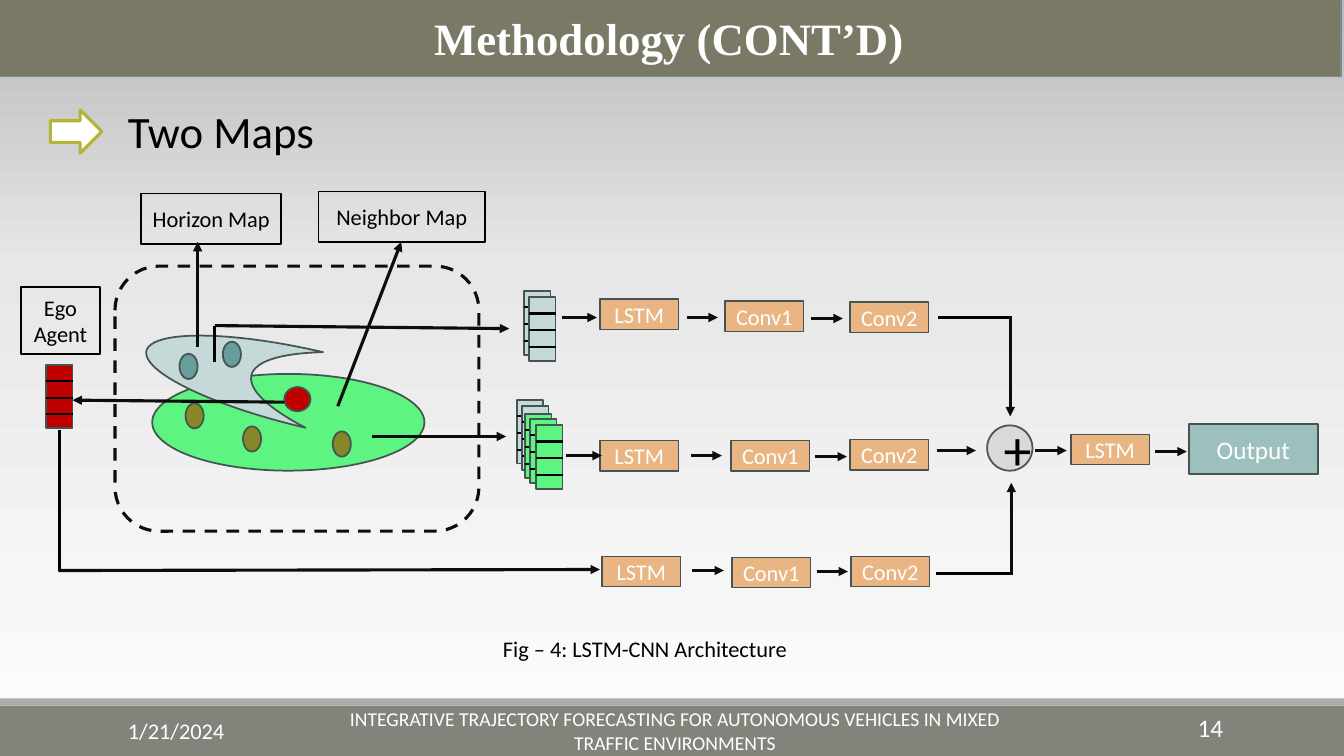
from copy import deepcopy
from dataclasses import dataclass

from lxml.etree import SubElement
from pptx import Presentation
from pptx.dml.color import RGBColor
from pptx.enum.dml import MSO_LINE
from pptx.enum.shapes import MSO_CONNECTOR, MSO_SHAPE
from pptx.enum.text import MSO_ANCHOR, PP_ALIGN
from pptx.oxml.ns import qn
from pptx.util import Inches, Pt

BLACK, WHITE, ARROW = "000000", "FFFFFF", "0D0D0D"
OUTLINE, ORANGE, TEAL = "455453", "E9B683", "9DBFBE"
PALE, GREEN, RED = "C4D9D8", "5EF482", "C00000"
DARK_TEAL, OLIVE = "689D9B", "868728"


@dataclass
class Block:
    label: str
    left: float
    top: float
    width: float = 0.78
    height: float = 0.3
    fill: str | None = ORANGE
    line: str = OUTLINE
    color: str = WHITE
    size: float = 16
    preset: MSO_SHAPE = MSO_SHAPE.RECTANGLE


@dataclass
class Stack:
    left: float
    top: float
    fill: str


@dataclass
class Link:
    start: tuple[float, float]
    end: tuple[float, float]
    arrow: bool = True


presentation = Presentation()
presentation.slide_width = Inches(13.33)
presentation.slide_height = Inches(7.5)
slide = presentation.slides.add_slide(presentation.slide_layouts[6])


def rgb(color: str) -> RGBColor:
    return RGBColor.from_string(color)


def write(shape, text: str, *, size: float = 16, color: str = BLACK, font: str = "Calibri",
          bold: bool = False, align=PP_ALIGN.CENTER, anchor=MSO_ANCHOR.MIDDLE) -> None:
    frame = shape.text_frame
    frame.word_wrap = True
    frame.vertical_anchor = anchor
    paragraph = frame.paragraphs[0]
    paragraph.text = text
    paragraph.alignment = align
    paragraph.font.name, paragraph.font.size, paragraph.font.bold = font, Pt(size), bold
    paragraph.font.color.rgb = rgb(color)


def add_text(text: str, left: float, top: float, width: float, height: float, **style) -> None:
    box = slide.shapes.add_textbox(Inches(left), Inches(top), Inches(width), Inches(height))
    write(box, text, **style)


def add_preset(preset: MSO_SHAPE, left: float, top: float, width: float, height: float,
               fill: str | None = None, line: str | None = OUTLINE, weight: float = 1.25):
    shape = slide.shapes.add_shape(preset, Inches(left), Inches(top), Inches(width), Inches(height))
    shape.shadow.inherit = False
    if fill:
        shape.fill.solid()
        shape.fill.fore_color.rgb = rgb(fill)
    else:
        shape.fill.background()
    if line:
        shape.line.color.rgb = rgb(line)
        shape.line.width = Pt(weight)
    else:
        shape.line.fill.background()
    return shape


def add_link(link: Link, weight: float = 2.25) -> None:
    points = [Inches(value) for value in (*link.start, *link.end)]
    connector = slide.shapes.add_connector(MSO_CONNECTOR.STRAIGHT, *points)
    connector.line.color.rgb = rgb(ARROW if link.arrow else BLACK)
    connector.line.width = Pt(weight)
    if link.arrow:
        SubElement(connector.line._get_or_add_ln(), qn("a:tailEnd"), type="triangle")
    SubElement(connector._element.spPr, qn("a:effectLst"))


def add_block(block: Block) -> None:
    shape = add_preset(block.preset, block.left, block.top, block.width, block.height,
                       block.fill, block.line)
    write(shape, block.label, size=block.size, color=block.color)


def add_stack(stack: Stack) -> None:
    width = 0.26
    add_preset(MSO_SHAPE.RECTANGLE, stack.left, stack.top, width, 0.63, stack.fill)
    for row in range(3):
        y = stack.top + 0.16 + 0.165 * row
        add_link(Link((stack.left, y), (stack.left + width, y), arrow=False), weight=1.5)


# Background gradient, light at the bottom
background = slide.background.fill
background.gradient()
background.gradient_angle = 90
stop_list = slide.element.find(".//" + qn("a:gsLst"))
stop_list.insert(1, deepcopy(stop_list[0]))
gradient = [(0, "FEFEFE"), (0.65, "E7E7E7"), (1, "B9B9B9")]
for stop, (position, color) in zip(background.gradient_stops, gradient):
    stop.position = position
    stop.color.rgb = rgb(color)

# Footer and title
add_preset(MSO_SHAPE.RECTANGLE, 0, 7, 13.33, 0.5, "82847C", None)
add_preset(MSO_SHAPE.RECTANGLE, 0, 6.93, 13.33, 0.07, "ACADA8", None)
title = add_preset(MSO_SHAPE.RECTANGLE, -0.03, -0.01, 13.33, 0.77, "797965", "748D8D")
write(title, "Methodology (CONT’D)", size=32, color=WHITE, font="Times New Roman", bold=True)
add_text("1/21/2024", 1.17, 7.05, 2.7, 0.4, color=WHITE, align=PP_ALIGN.LEFT)
add_text("INTEGRATIVE TRAJECTORY FORECASTING FOR AUTONOMOUS VEHICLES IN MIXED TRAFFIC ENVIRONMENTS",
         3.35, 7.05, 6.69, 0.4, size=14, color=WHITE)
add_text("14", 10.8, 7.02, 1.43, 0.4, size=18, color=WHITE, align=PP_ALIGN.RIGHT)

# Heading and caption
add_preset(MSO_SHAPE.RIGHT_ARROW, 0.5, 1.09, 0.51, 0.43, WHITE, "B3B435", 2.25)
add_text("Two Maps", 1.17, 0.98, 5.32, 0.64, size=32, align=PP_ALIGN.LEFT, anchor=MSO_ANCHOR.TOP)
add_text("Fig – 4: LSTM-CNN Architecture", 4.89, 6.25, 4.58, 0.37,
         align=PP_ALIGN.LEFT, anchor=MSO_ANCHOR.TOP)

# Scene with the two maps and the agents
scene = add_preset(MSO_SHAPE.ROUNDED_RECTANGLE, 1.14, 2.64, 3.61, 2.63, None, ARROW, 2.25)
scene.line.dash_style = MSO_LINE.DASH
add_preset(MSO_SHAPE.OVAL, 1.51, 3.71, 2.7, 0.96, GREEN)
horizon = add_preset(MSO_SHAPE.MOON, 1.43, 3.29, 1.71, 0.77, PALE)
horizon.rotation = 13.1
horizon.adjustments[0] = 0.625
add_preset(MSO_SHAPE.OVAL, 2.82, 3.84, 0.26, 0.24, RED)
agents = [(2.21, 3.39, DARK_TEAL), (1.78, 3.51, DARK_TEAL),
          (2.41, 4.23, OLIVE), (1.84, 4, OLIVE), (3.3, 4.28, OLIVE)]
for left, top, fill in agents:
    add_preset(MSO_SHAPE.OVAL, left, top, 0.18, 0.25, fill)

# Feature stacks
stacks = [
    Stack(5.2, 2.89, PALE), Stack(5.25, 2.95, PALE),
    Stack(5.13, 3.97, PALE), Stack(5.18, 4.03, PALE),
    Stack(5.21, 4.11, GREEN), Stack(5.26, 4.16, GREEN), Stack(5.32, 4.22, GREEN),
    Stack(0.46, 3.62, RED),
]
for stack in stacks:
    add_stack(stack)

# Network blocks and map labels
label_style = dict(fill=None, line=BLACK, color=BLACK)
blocks = [
    Block("LSTM", 5.95, 2.97), Block("Conv1", 7.19, 2.99), Block("Conv2", 8.43, 3),
    Block("LSTM", 5.95, 4.37), Block("Conv1", 7.25, 4.37), Block("Conv2", 8.43, 4.36),
    Block("LSTM", 5.97, 5.52), Block("Conv1", 7.26, 5.53), Block("Conv2", 8.44, 5.52),
    Block("+", 9.79, 4.22, 0.45, 0.45, "D9D9D9", color=BLACK, size=40, preset=MSO_SHAPE.OVAL),
    Block("LSTM", 10.62, 4.31),
    Block("Output", 11.79, 4.21, 1.28, 0.49, TEAL, size=18),
    Block("Ego Agent", 0.21, 2.85, 0.78, 0.66, **label_style),
    Block("Horizon Map", 1.4, 1.92, 1.39, 0.5, **label_style),
    Block("Neighbor Map", 3.16, 1.9, 1.65, 0.5, **label_style),
]
for block in blocks:
    add_block(block)

# Arrows and plain joining lines
links = [
    # From the scene to the stacks and labels
    Link((2.13, 3.23), (5.05, 3.26)), Link((2.13, 3.23), (2.13, 3.59), False),
    Link((3.69, 4.33), (5.02, 4.33)), Link((2.82, 3.99), (0.72, 3.97)),
    Link((3.35, 4.03), (3.98, 2.4)), Link((1.96, 3.44), (1.96, 2.4)),
    # Horizon lane
    Link((5.57, 3.15), (5.92, 3.15)), Link((6.81, 3.15), (7.12, 3.15)),
    Link((8.04, 3.16), (8.36, 3.16)),
    Link((10.03, 3.15), (9.3, 3.15), False), Link((10.02, 3.14), (10.02, 4.13)),
    # Neighbor lane
    Link((5.61, 4.52), (5.97, 4.52)), Link((6.85, 4.52), (7.16, 4.52)),
    Link((8.08, 4.53), (8.4, 4.53)), Link((9.29, 4.47), (9.68, 4.47)),
    # Ego lane
    Link((0.59, 4.27), (0.59, 5.66), False), Link((0.58, 5.66), (5.95, 5.65)),
    Link((6.86, 5.66), (7.18, 5.66)), Link((8.1, 5.67), (8.41, 5.67)),
    Link((10.02, 5.69), (9.28, 5.69), False), Link((10.03, 5.7), (10.03, 4.79)),
    # Fusion to output
    Link((10.27, 4.47), (10.58, 4.47)), Link((11.46, 4.48), (11.77, 4.48)),
]
for link in links:
    add_link(link)

presentation.save("out.pptx")
